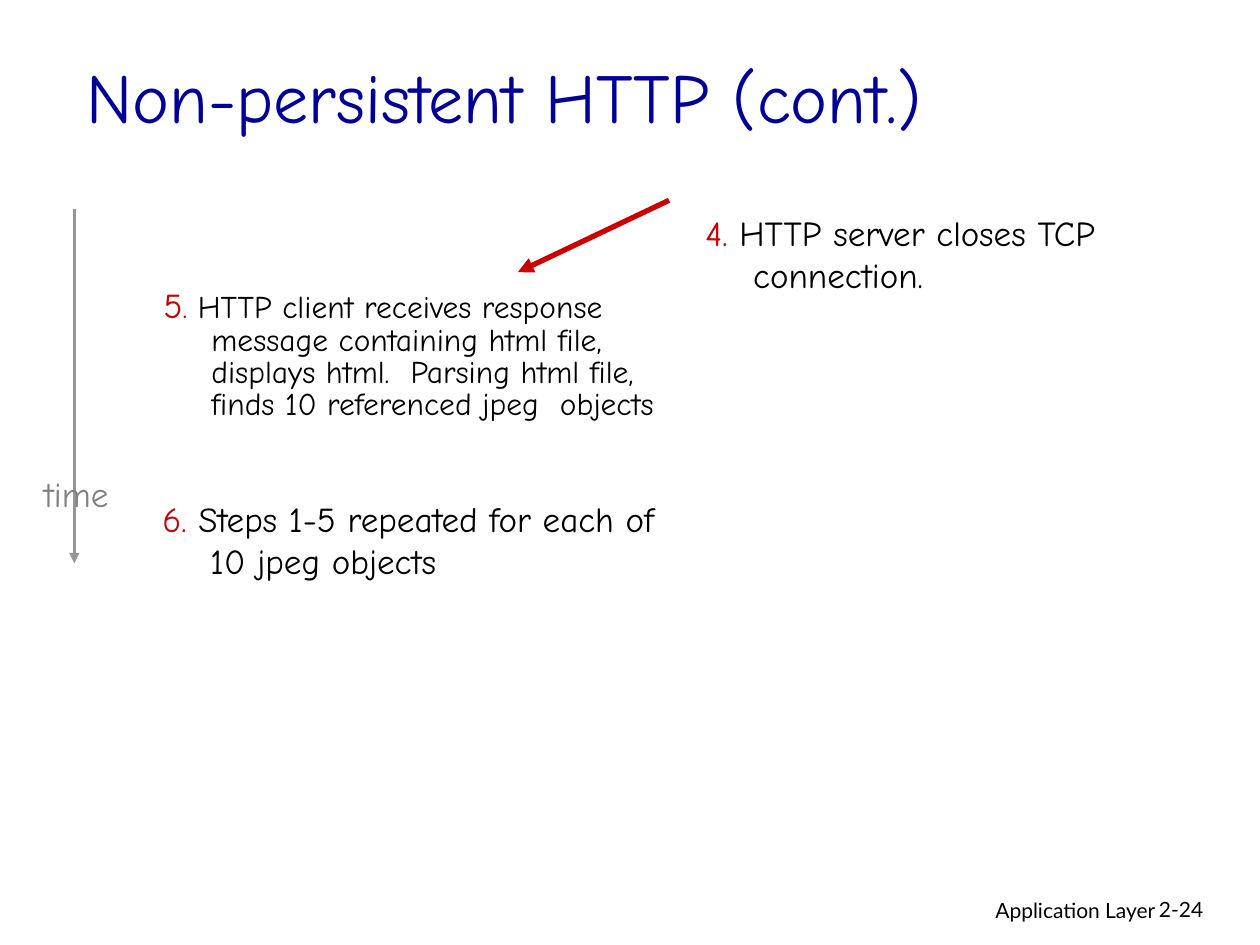
from lxml.etree import SubElement
from pptx import Presentation
from pptx.dml.color import RGBColor
from pptx.enum.shapes import MSO_CONNECTOR
from pptx.enum.text import MSO_ANCHOR, PP_ALIGN
from pptx.oxml.ns import qn
from pptx.util import Inches, Pt

NAVY = RGBColor(0x00, 0x00, 0x99)
RED = RGBColor(0xCC, 0x00, 0x00)
BLACK = RGBColor(0x00, 0x00, 0x00)
GRAY = RGBColor(0x80, 0x80, 0x80)
ARROW_GRAY = RGBColor(0x96, 0x96, 0x96)
HAND, SANS = "Comic Neue", "Lato"
HANGING = 0.38

# Content: box (left, top, width, height) and runs (text, size, colour)
TITLE = ((0.59, 0.28, 8.5, 0.95), [("Non-persistent HTTP (cont.)", 40, NAVY)])
TIME_LABEL = ((0.25, 3.7, 0.71, 0.44), [("time", 20, GRAY)])
FOOTER = ((6.1, 7.07, 3.17, 0.31), [("Application Layer", 12, BLACK)])
PAGE_NUMBER = ((9.1, 7.07, 0.74, 0.3), [("2-24", 12, BLACK)])

# Steps: box, runs, line spacing, space before
STEPS = [
    ((1.2, 2.25, 4.17, 1.68),
     [("5", 20, RED), (".", 18, RED),
      (" HTTP client receives response message containing html file, "
       "displays html.  Parsing html file, finds 10 referenced jpeg  objects",
       18, BLACK)], 0.85, 4.5),
    ((1.19, 3.9, 4.17, 0.73),
     [("6.", 20, RED), (" Steps 1-5 repeated for each of 10 jpeg objects", 20, BLACK)],
     1.0, 5),
    ((5.5, 1.63, 4.17, 0.8),
     [("4.", 20, RED), (" HTTP server closes TCP connection.", 20, BLACK)],
     1.0, 5),
]

# Arrows: start, end, colour, width
TIME_ARROW = ((0.59, 1.66), (0.59, 4.47), ARROW_GRAY, 1.5)
RESPONSE_ARROW = ((5.31, 1.59), (4.11, 2.16), RED, 3)


def add_text(slide, box, runs, font=HAND, align=PP_ALIGN.LEFT,
             anchor=MSO_ANCHOR.TOP, wrap=True):
    text_frame = slide.shapes.add_textbox(*map(Inches, box)).text_frame
    text_frame.word_wrap = wrap
    text_frame.vertical_anchor = anchor
    paragraph = text_frame.paragraphs[0]
    paragraph.alignment = align
    for text, size, color in runs:
        run = paragraph.add_run()
        run.text = text
        run.font.name = font
        run.font.size = Pt(size)
        run.font.color.rgb = color
    return paragraph


def add_step(slide, box, runs, line_spacing, space_before):
    paragraph = add_text(slide, box, runs)
    paragraph.line_spacing = line_spacing
    paragraph.space_before = Pt(space_before)
    properties = paragraph._p.get_or_add_pPr()
    properties.set("marL", str(Inches(HANGING)))
    properties.set("indent", str(-Inches(HANGING)))


def add_arrow(slide, start, end, color, width):
    arrow = slide.shapes.add_connector(
        MSO_CONNECTOR.STRAIGHT, *map(Inches, start + end))
    arrow.line.color.rgb = color
    arrow.line.width = Pt(width)
    SubElement(arrow.line._get_or_add_ln(), qn("a:tailEnd"), type="triangle")
    SubElement(arrow._element.spPr, qn("a:effectLst"))


def main():
    presentation = Presentation()
    presentation.slide_width, presentation.slide_height = Inches(10), Inches(7.5)
    slide = presentation.slides.add_slide(presentation.slide_layouts[6])

    # Footer and title
    add_text(slide, *FOOTER, font=SANS, align=PP_ALIGN.RIGHT)
    add_text(slide, *PAGE_NUMBER, font=SANS)
    add_text(slide, *TITLE, anchor=MSO_ANCHOR.MIDDLE)

    # Numbered steps
    for step in STEPS:
        add_step(slide, *step)

    # Time axis and response message
    add_arrow(slide, *TIME_ARROW)
    add_text(slide, *TIME_LABEL, align=PP_ALIGN.CENTER, wrap=False)
    add_arrow(slide, *RESPONSE_ARROW)

    presentation.save("out.pptx")


if __name__ == "__main__":
    main()
